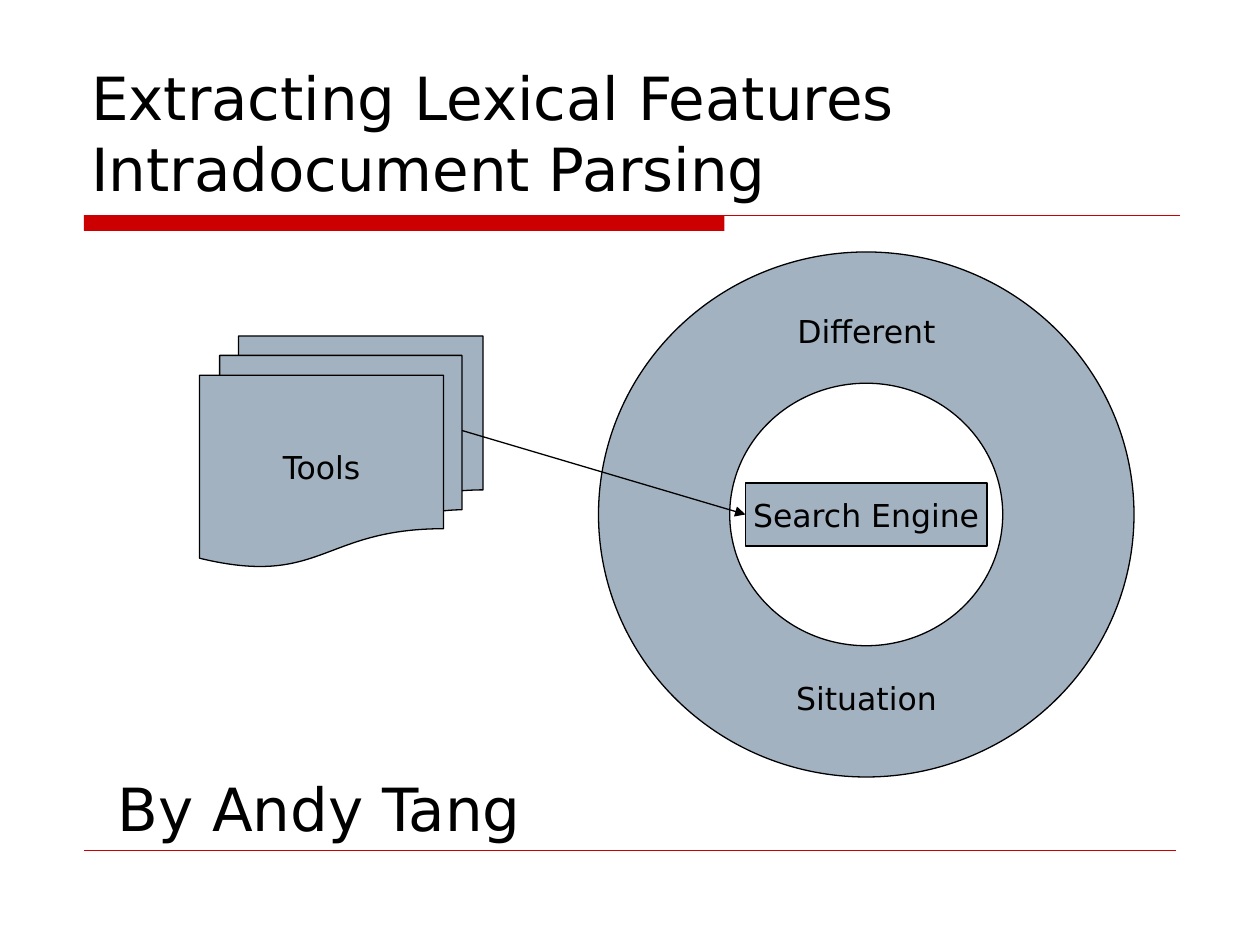
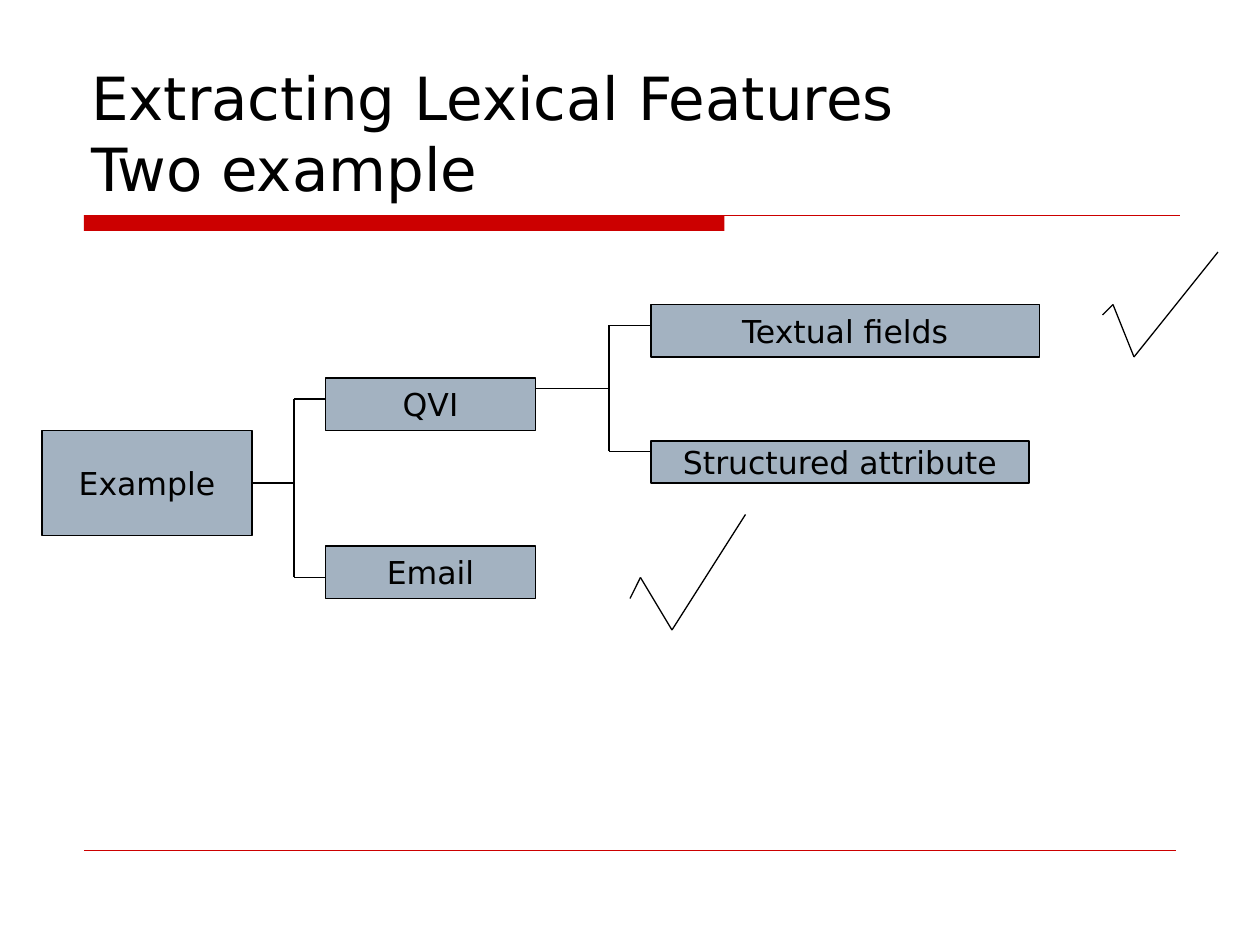
from dataclasses import dataclass
from itertools import pairwise

from pptx import Presentation
from pptx import util as u
from pptx.dml.color import RGBColor
from pptx.enum import shapes, text
from pptx.oxml import ns, xmlchemy

BLACK = RGBColor(0x00, 0x00, 0x00)
RED = RGBColor(0xCC, 0x00, 0x00)
STEEL = RGBColor(0xA3, 0xB2, 0xC1)

FONT = "DejaVu Sans"
HEADING_SIZE = 34
LABEL_SIZE = 18
LINE_WIDTH = 0.75
SLIDE_WIDTH = u.Inches(10)
SLIDE_HEIGHT = u.Inches(7.5)
COLUMNS, ROWS = 120, 90
MARGIN = 8

Point = tuple[float, float]


@dataclass(frozen=True)
class Area:
    column: float
    row: float
    columns: float
    rows: float

    def lengths(self) -> tuple[int, int, int, int]:
        return (across(self.column), down(self.row),
                across(self.columns), down(self.rows))


@dataclass(frozen=True)
class Node:
    area: Area
    label: str = ""
    kind: shapes.MSO_SHAPE = shapes.MSO_SHAPE.RECTANGLE
    fill: RGBColor = STEEL
    outlined: bool = True


@dataclass(frozen=True)
class Bracket:
    stem: Point
    trunk: float
    branch_end: float
    branch_rows: tuple[float, float]


TITLE_AREA = Area(7.5, 4, 105, 16)
AUTHOR_AREA = Area(10, 73, 44, 7.9)
BAND = Node(Area(MARGIN, 20.5, 61, 1.5), fill=RED, outlined=False)
BAND_RULE = ((MARGIN, 20.5), (112.4, 20.5))
FOOTER_RULE = ((MARGIN, 81), (COLUMNS - MARGIN, 81))

SEARCH_NODES = [
    Node(Area(71, 46, 23, 6)),
    Node(Area(57, 24, 51, 50), "Search Engine", shapes.MSO_SHAPE.DONUT),
    Node(Area(19, 32, 27, 22), "Tools",
         shapes.MSO_SHAPE.FLOWCHART_MULTIDOCUMENT),
    Node(Area(73, 28, 20, 7), "Different ", outlined=False),
    Node(Area(73, 63, 20, 7), "Situation ", outlined=False),
]
TOOLS_TO_ENGINE = ((44, 41), (71, 49))

EXAMPLE_NODES = [
    Node(Area(4, 41, 20, 10), "Example"),
    Node(Area(31, 36, 20, 5), "QVI"),
    Node(Area(31, 52, 20, 5), "Email"),
    Node(Area(62, 29, 37, 5), "Textual fields"),
    Node(Area(62, 42, 36, 4), "Structured attribute"),
]
BRACKETS = [
    Bracket((24, 46), 28, 31, (38, 55)),
    Bracket((51, 37), 58, 62, (31, 43)),
]
CHECK_MARKS = [
    [(105, 30), (106, 29), (108, 34), (116, 24)],
    [(60, 57), (61, 55), (64, 60), (71, 49)],
]


def across(columns: float) -> int:
    return round(SLIDE_WIDTH * columns / COLUMNS)


def down(rows: float) -> int:
    return round(SLIDE_HEIGHT * rows / ROWS)


def write(frame, words: str, size: float, anchor, alignment) -> None:
    frame.text = words
    frame.vertical_anchor = anchor
    for para in frame.paragraphs:
        para.alignment = alignment
        for span in para.runs:
            span.font.name = FONT
            span.font.size = u.Pt(size)
            span.font.color.rgb = BLACK


def draw_heading(page, area: Area, words: str) -> None:
    box = page.shapes.add_textbox(*area.lengths())
    box.text_frame.word_wrap = True
    write(box.text_frame, words, HEADING_SIZE,
          text.MSO_ANCHOR.BOTTOM, text.PP_ALIGN.LEFT)


def draw_node(page, node: Node) -> None:
    shape = page.shapes.add_shape(node.kind, *node.area.lengths())
    shape.shadow.inherit = False
    shape.fill.solid()
    shape.fill.fore_color.rgb = node.fill
    if node.outlined:
        shape.line.color.rgb = BLACK
        shape.line.width = u.Pt(LINE_WIDTH)
    else:
        shape.line.fill.background()
    if node.kind == shapes.MSO_SHAPE.DONUT:
        shape.adjustments[0] = 0.25
    if node.label:
        shape.text_frame.word_wrap = False
        write(shape.text_frame, node.label, LABEL_SIZE,
              text.MSO_ANCHOR.MIDDLE, text.PP_ALIGN.CENTER)


def draw_line(page, start: Point, end: Point, color: RGBColor = BLACK,
              width: float = LINE_WIDTH, arrow: bool = False) -> None:
    line = page.shapes.add_connector(
        shapes.MSO_CONNECTOR.STRAIGHT,
        across(start[0]), down(start[1]), across(end[0]), down(end[1]))
    line.line.color.rgb = color
    line.line.width = u.Pt(width)
    if arrow:
        head = xmlchemy.OxmlElement("a:tailEnd")
        head.set("type", "triangle")
        line.line._get_or_add_ln().append(head)
    properties = line._element.find(ns.qn("p:spPr"))
    properties.append(xmlchemy.OxmlElement("a:effectLst"))


def draw_bracket(page, bracket: Bracket) -> None:
    draw_line(page, bracket.stem, (bracket.trunk, bracket.stem[1]))
    top, bottom = bracket.branch_rows
    draw_line(page, (bracket.trunk, top), (bracket.trunk, bottom))
    for row in bracket.branch_rows:
        draw_line(page, (bracket.trunk, row), (bracket.branch_end, row))


def add_page(deck, topic: str):
    page = deck.slides.add_slide(deck.slide_layouts[6])
    draw_node(page, BAND)
    draw_line(page, *BAND_RULE, color=RED)
    draw_line(page, *FOOTER_RULE, color=RED, width=0.25)
    draw_heading(page, TITLE_AREA, f"Extracting Lexical Features\v{topic}")
    return page


def build_search_page(deck) -> None:
    page = add_page(deck, "Intradocument Parsing")
    for node in SEARCH_NODES:
        draw_node(page, node)
    draw_line(page, *TOOLS_TO_ENGINE, arrow=True)
    draw_heading(page, AUTHOR_AREA, "By Andy Tang")


def build_example_page(deck) -> None:
    page = add_page(deck, "Two example")
    for node in EXAMPLE_NODES:
        draw_node(page, node)
    for bracket in BRACKETS:
        draw_bracket(page, bracket)
    for mark in CHECK_MARKS:
        for start, end in pairwise(mark):
            draw_line(page, start, end)


def main() -> None:
    deck = Presentation()
    deck.slide_width = SLIDE_WIDTH
    deck.slide_height = SLIDE_HEIGHT
    build_search_page(deck)
    build_example_page(deck)
    deck.save("out.pptx")


if __name__ == "__main__":
    main()
